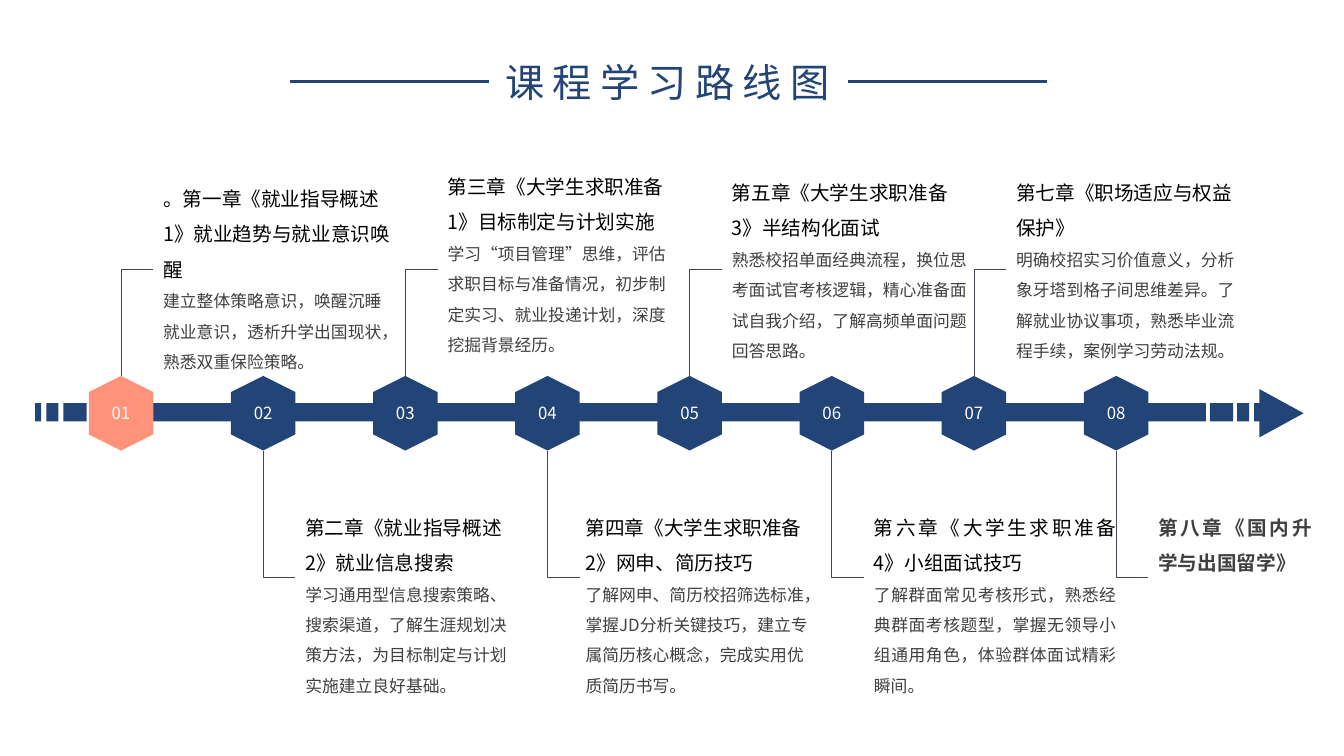
from lxml.etree import SubElement
from pptx import Presentation
from pptx.dml.color import RGBColor
from pptx.enum.shapes import MSO_CONNECTOR, MSO_SHAPE
from pptx.enum.text import MSO_ANCHOR, MSO_AUTO_SIZE, PP_ALIGN
from pptx.oxml.ns import qn
from pptx.util import Inches, Pt

FONT = "Noto Sans CJK SC"
COLORS = {"navy": "224477", "coral": "FF927A", "rule": "414455",
          "heading": "000000", "body": "404040", "white": "FFFFFF"}
TITLE = "课程学习路线图"
LEFT, JUSTIFY = PP_ALIGN.LEFT, PP_ALIGN.JUSTIFY

CHAPTERS = [
    {"heading": "。第一章《就业指导概述1》就业趋势与就业意识唤醒",
     "body": "建立整体策略意识，唤醒沉睡就业意识，透析升学出国现状，熟悉双重保险策略。",
     "box": (1.52, 1.69, 2.5, 1.6), "align": LEFT},
    {"heading": "第二章《就业指导概述2》就业信息搜索",
     "body": "学习通用型信息搜索策略、搜索渠道，了解生涯规划决策方法，为目标制定与计划实施建立良好基础。",
     "box": (2.93, 4.95, 2.35, 2.1), "align": LEFT},
    {"heading": "第三章《大学生求职准备1》目标制定与计划实施",
     "body": "学习“项目管理”思维，评估求职目标与准备情况，初步制定实习、就业投递计划，深度挖掘背景经历。",
     "box": (4.34, 1.57, 2.45, 2.37), "align": LEFT},
    {"heading": "第四章《大学生求职准备2》网申、简历技巧",
     "body": "了解网申、简历校招筛选标准，掌握JD分析关键技巧，建立专属简历核心概念，完成实用优质简历书写。",
     "box": (5.71, 4.95, 2.47, 2.1), "align": LEFT},
    {"heading": "第五章《大学生求职准备3》半结构化面试",
     "body": "熟悉校招单面经典流程，换位思考面试官考核逻辑，精心准备面试自我介绍，了解高频单面问题回答思路。",
     "box": (7.16, 1.63, 2.57, 1.95), "align": LEFT},
    {"heading": "第六章《大学生求职准备4》小组面试技巧",
     "body": "了解群面常见考核形式，熟悉经典群面考核题型，掌握无领导小组通用角色，体验群体面试精彩瞬间。",
     "box": (8.57, 4.95, 2.6, 2.1), "align": JUSTIFY},
    {"heading": "第七章《职场适应与权益保护》",
     "body": "明确校招实习价值意义，分析象牙塔到格子间思维差异。了解就业协议事项，熟悉毕业流程手续，案例学习劳动法规。",
     "box": (9.98, 1.63, 2.42, 1.95), "align": LEFT},
    {"heading": "第八章《国内升学与出国留学》", "body": "",
     "box": (11.39, 4.95, 1.72, 2.1), "align": JUSTIFY},
]

AXIS_BARS = [(0.35, 0.06), (0.46, 0.12), (0.63, 0.23), (0.91, 11.05),
             (12, 0.23), (12.27, 0.12), (12.44, 0.06)]
BAR_TOP, BAR_HEIGHT = 4, 0.18
FIRST_NODE, NODE_STEP, NODE_MIDDLE = 1.2, 1.41, 4.1
NODE_LENGTH, NODE_WIDTH = 0.74, 0.64
ELBOW_RUN = 0.32
UPPER_ELBOW, LOWER_ELBOW = 2.67, 5.73


def color(name):
    return RGBColor.from_string(COLORS[name])


def add_run(paragraph, text, size, color_name, bold=False):
    run = paragraph.add_run()
    run.text = text
    run.font.size = Pt(size)
    run.font.name = FONT
    run.font.bold = bold
    run.font.color.rgb = color(color_name)
    properties = run._r.get_or_add_rPr()
    SubElement(properties, qn("a:ea")).set("typeface", FONT)
    return properties


def add_filled(shapes, kind, box, color_name, rotation=0):
    shape = shapes.add_shape(kind, *map(Inches, box))
    shape.shadow.inherit = False
    shape.fill.solid()
    shape.fill.fore_color.rgb = color(color_name)
    shape.line.fill.background()
    shape.rotation = rotation


def add_line(shapes, kind, start, end, color_name, width):
    connector = shapes.add_connector(kind, *map(Inches, start + end))
    connector.line.color.rgb = color(color_name)
    connector.line.width = Pt(width)
    SubElement(connector._element.spPr, qn("a:effectLst"))
    return connector


def add_text_frame(shapes, box):
    frame = shapes.add_textbox(*map(Inches, box)).text_frame
    frame.word_wrap = True
    return frame


def add_title(slide):
    title = slide.shapes.title
    title.left, title.top, title.width, title.height = map(Inches, (4.91, 0.53, 3.6, 0.57))
    frame = title.text_frame
    frame.word_wrap = True
    frame.auto_size = MSO_AUTO_SIZE.NONE
    frame.vertical_anchor = MSO_ANCHOR.TOP
    paragraph = frame.paragraphs[0]
    paragraph.alignment = LEFT
    add_run(paragraph, TITLE, 28, "navy").set("spc", "600")
    for left in (2.88, 8.41):
        add_line(slide.shapes, MSO_CONNECTOR.STRAIGHT, (left, 0.81), (left + 1.97, 0.81),
                 "navy", 2.25)


def add_axis(slide):
    shapes = slide.shapes.add_group_shape().shapes
    for left, width in AXIS_BARS:
        add_filled(shapes, MSO_SHAPE.RECTANGLE, (left, BAR_TOP, width, BAR_HEIGHT), "navy")
    add_filled(shapes, MSO_SHAPE.ISOSCELES_TRIANGLE, (12.47, 3.88, 0.48, 0.44), "navy", 90)


def add_node(slide, index, center):
    shapes = slide.shapes.add_group_shape().shapes
    box = (center - NODE_LENGTH / 2, NODE_MIDDLE - NODE_WIDTH / 2, NODE_LENGTH, NODE_WIDTH)
    add_filled(shapes, MSO_SHAPE.HEXAGON, box, "navy" if index else "coral", 90)
    frame = add_text_frame(shapes, (center - 0.39, 3.95, 0.78, 0.3))
    paragraph = frame.paragraphs[0]
    paragraph.alignment = PP_ALIGN.CENTER
    add_run(paragraph, f"{index + 1:02d}", 12, "white")


def add_elbow(slide, index, center):
    side, elbow = (1, LOWER_ELBOW) if index % 2 else (-1, UPPER_ELBOW)
    node_edge = NODE_MIDDLE + side * NODE_LENGTH / 2
    connector = add_line(slide.shapes, MSO_CONNECTOR.ELBOW, (center + ELBOW_RUN, elbow),
                         (center, node_edge), "rule", 0.5)
    connector._element.spPr.find(qn("a:prstGeom")).set("prst", "bentConnector2")


def add_chapter(slide, chapter):
    frame = add_text_frame(slide.shapes, chapter["box"])
    heading = frame.paragraphs[0]
    paragraphs = [heading]
    if chapter["body"]:
        add_run(heading, chapter["heading"], 14, "heading")
        body = frame.add_paragraph()
        add_run(body, chapter["body"], 12, "body")
        paragraphs.append(body)
    else:
        add_run(heading, chapter["heading"], 14, "body", bold=True)
    for paragraph in paragraphs:
        paragraph.alignment = chapter["align"]
        paragraph.line_spacing = 1.5


def main():
    presentation = Presentation()
    presentation.slide_width, presentation.slide_height = Inches(13.33), Inches(7.5)
    slide = presentation.slides.add_slide(presentation.slide_layouts[5])
    add_title(slide)
    add_axis(slide)
    for index, chapter in enumerate(CHAPTERS):
        center = FIRST_NODE + index * NODE_STEP
        add_elbow(slide, index, center)
        add_node(slide, index, center)
        add_chapter(slide, chapter)
    presentation.save("out.pptx")


if __name__ == "__main__":
    main()
